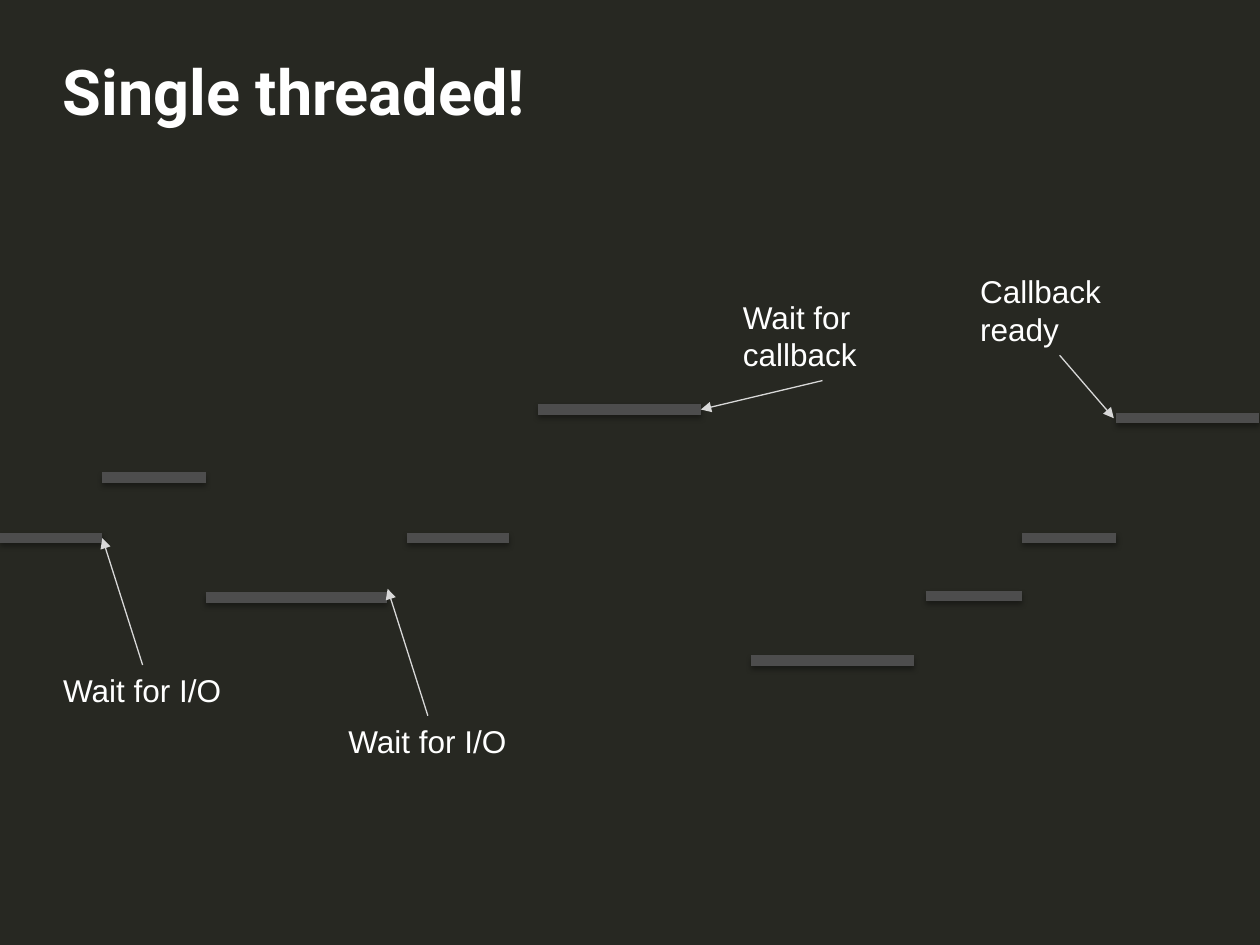
import pptx
import pptx.dml.color
import pptx.enum.dml
import pptx.enum.shapes
import pptx.enum.text
import pptx.oxml
import pptx.oxml.ns
import pptx.util

Pt = pptx.util.Pt
NS = pptx.oxml.ns.nsdecls("a")

# Start, end and height of each stretch of running code
BARS = [
    (0, 58.5, 307.5),
    (58.5, 117.5, 273),
    (117.5, 221, 341.5),
    (232.5, 291, 307.5),
    (307.5, 400.5, 234),
    (429, 522, 377.5),
    (529, 584, 340.5),
    (584, 638, 307.5),
    (638, 719.5, 239),
]

# Label, arrow start, arrow end, label height
NOTES = [
    ("Wait for I/O", (81.5, 380), (58.5, 307.5), 29),
    ("Wait for I/O", (244.5, 409), (221.5, 336.5), 29),
    ("Wait for callback", (470, 217.5), (400.5, 234), 51),
    ("Callback ready", (605.5, 203), (636.5, 239), 51),
]
WIDE = 105

SHADOW = (
    f'<a:effectLst {NS}><a:outerShdw blurRad="{Pt(3.1)}" dist="{Pt(1.8)}" '
    'dir="5400000" rotWithShape="0"><a:srgbClr val="000000">'
    '<a:alpha val="35000"/></a:srgbClr></a:outerShdw></a:effectLst>'
)
PLAIN = f"<a:effectLst {NS}/>"
HEAD = f'<a:tailEnd {NS} type="triangle"/>'


def tint(code):
    return pptx.dml.color.RGBColor.from_string(code)


def add_text(slide, text, left, top, width, height, size=18, font="Arial",
             color="FFFFFF", bold=False, inset=(7.2, 3.6), space=None):
    box = slide.shapes.add_textbox(Pt(left), Pt(top), Pt(width), Pt(height))
    frame = box.text_frame
    frame.word_wrap = True
    frame.auto_size = pptx.enum.text.MSO_AUTO_SIZE.NONE
    frame.margin_left = frame.margin_right = Pt(inset[0])
    frame.margin_top = frame.margin_bottom = Pt(inset[1])
    para = frame.paragraphs[0]
    if space:
        para.line_spacing = Pt(space)
    run = para.add_run()
    run.text = text
    run.font.size = Pt(size)
    run.font.name = font
    run.font.bold = bold
    run.font.color.rgb = tint(color)


def add_line(slide, start, end, color, width, effect=PLAIN):
    kind = pptx.enum.shapes.MSO_CONNECTOR.STRAIGHT
    line = slide.shapes.add_connector(kind, *map(Pt, start + end))
    line.line.color.rgb = tint(color)
    line.line.width = Pt(width)
    line._element.spPr.append(pptx.oxml.parse_xml(effect))
    return line


def add_bar(slide, left, right, y):
    add_line(slide, (left, y), (right, y), "4D4D4D", 6, SHADOW)


def add_note(slide, text, start, end, height):
    """Draw an arrow with its label centred behind the arrow's start."""
    arrow = add_line(slide, start, end, "D8D8D8", 0.75)
    arrow.line._get_or_add_ln().append(pptx.oxml.parse_xml(HEAD))
    x, y = start
    top = y if end[1] < y else y - height
    add_text(slide, text, x - WIDE / 2, top, WIDE, height)


def main():
    deck = pptx.Presentation()
    deck.slide_width, deck.slide_height = Pt(720), Pt(540)
    slide = deck.slides.add_slide(deck.slide_layouts[6])
    fill = slide.background.fill
    fill.solid()
    fill.fore_color.rgb = tint("272822")

    add_text(slide, "Single threaded!", 36, 34.5, 648, 47.5, size=36,
             font="Roboto", bold=True, inset=(0, 0), space=39)
    for bar in BARS:
        add_bar(slide, *bar)
    for note in NOTES:
        add_note(slide, *note)
    deck.save("out.pptx")


if __name__ == "__main__":
    main()
